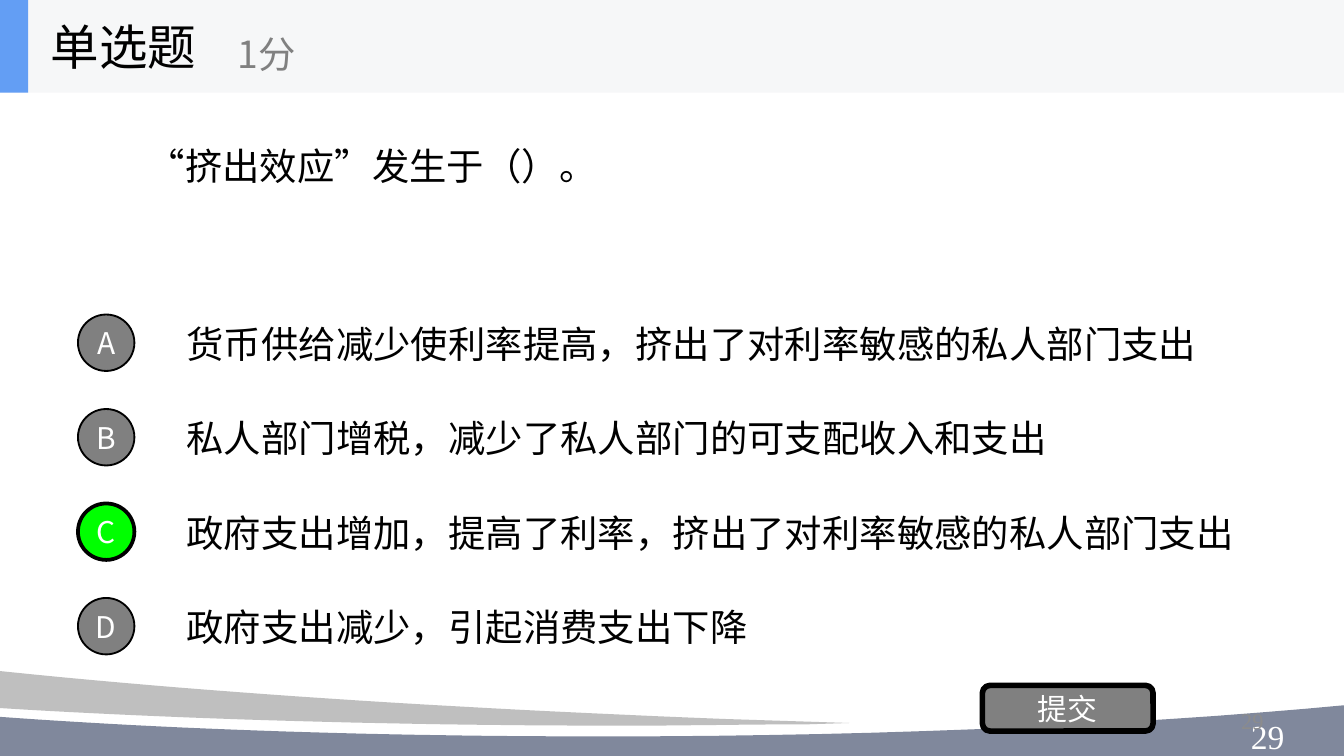
import pptx
import pptx.util
import pptx.dml.color
import pptx.enum.shapes
import pptx.enum.text

Inch = pptx.util.Inches
Kind = pptx.enum.shapes.MSO_SHAPE
Side = pptx.enum.text.PP_ALIGN
Mid = pptx.enum.text.MSO_ANCHOR.MIDDLE
Top = pptx.enum.text.MSO_ANCHOR.TOP
SANS, ROMAN = "Noto Sans CJK SC", "Times New Roman"

wide = 10
high = wide * 9 / 16
deck = pptx.Presentation()
deck.slide_width, deck.slide_height = Inch(wide), Inch(high)
slide = deck.slides.add_slide(deck.slide_layouts[5])
shapes = slide.shapes


def paint(shape, fill, edge=0):
    """Fill a shape; give it a black edge of so many points, or none."""
    shape.shadow.inherit = False
    shape.fill.solid()
    shape.fill.fore_color.rgb = pptx.dml.color.RGBColor.from_string(fill)
    if edge:
        shape.line.color.rgb = pptx.dml.color.RGBColor.from_string("000000")
        shape.line.width = pptx.util.Pt(edge)
    else:
        shape.line.fill.background()


def write(shape, text, size, color, font=SANS, align=Side.LEFT, anchor=Mid, pad=0.1):
    """Put one line of text in a shape."""
    frame = shape.text_frame
    frame.text = text
    frame.word_wrap = True
    frame.auto_size = pptx.enum.text.MSO_AUTO_SIZE.NONE
    frame.vertical_anchor = anchor
    frame.margin_left = frame.margin_right = Inch(pad)
    frame.margin_top = frame.margin_bottom = Inch(pad / 2)
    line = frame.paragraphs[0]
    line.alignment = align
    line.font.size, line.font.name = pptx.util.Pt(size), font
    line.font.color.rgb = pptx.dml.color.RGBColor.from_string(color)


# Waves at the foot: a pair is a corner, a triple of pairs is a curve
waves = [
    ("80889C", [(12.5, 4.9), (12.5, high), (-0.83, high), (-0.83, 5.27), (-0.06, 5.33),
                ((1.29, 5.43), (2.84, 5.48), (4.49, 5.48)),
                ((7.79, 5.48), (10.69, 5.26), (12.41, 4.92))]),
    ("BFBFBF", [(-0.83, 4.9), (-0.13, 4.98),
                ((1.46, 5.15), (3.33, 5.27), (5.39, 5.35)),
                (6.32, 5.38), (6.01, 5.39),
                ((5.57, 5.39), (5.11, 5.4), (4.64, 5.4)),
                ((2.77, 5.4), (1.08, 5.34), (-0.14, 5.26)),
                (-0.83, 5.2)]),
]
steps = 24
for fill, parts in waves:
    spots = []
    for part in parts:
        if len(part) == 2:
            spots.append(part)
            continue
        curve = (spots[-1],) + part
        for step in range(1, steps + 1):
            t = step / steps
            mix = ((1 - t) ** 3, 3 * t * (1 - t) ** 2, 3 * t * t * (1 - t), t ** 3)
            spots.append(tuple(sum(m * p[axis] for m, p in zip(mix, curve))
                               for axis in (0, 1)))
    # The builder rounds to whole units, so draw in EMU
    spots = [(Inch(x), Inch(y)) for x, y in spots]
    pen = shapes.build_freeform(*spots[0])
    pen.add_line_segments(spots[1:], close=True)
    paint(pen.convert_to_shape(), fill)

# Header band and its blue tab
for width, fill in ((wide, "F6F7F8"), (0.21, "639EF4")):
    band = shapes.add_shape(Kind.RECTANGLE, 0, 0, Inch(width), Inch(0.69))
    paint(band, fill)

# Page numbers and header labels
labels = [
    ((9.21, 5.28, 2.33, 0.3), "29", 18, "FFFFFF", ROMAN, Side.LEFT, Top),
    ((7.17, 5.21, 2.33, 0.3), "29", 12, "8C8C8C", ROMAN, Side.RIGHT, Mid),
    ((0.28, 0, 2.08, 0.69), "单选题", 26, "000000", SANS, Side.LEFT, Mid),
    ((1.67, 0.12, 2.5, 0.56), "1分", 20, "808080", SANS, Side.LEFT, Mid),
]
for place, *style in labels:
    write(shapes.add_textbox(*map(Inch, place)), *style)

# Question
title = shapes.title
title.left, title.top, title.width, title.height = map(Inch, (1, 0.35, 8, 1.76))
write(title, "“挤出效应”发生于（）。", 20, "000000", "Arial")

# Choices, one to a row, the right one in green
row, first = high / 8, 2.55
choices = [
    ("A", "货币供给减少使利率提高，挤出了对利率敏感的私人部门支出"),
    ("B", "私人部门增税，减少了私人部门的可支配收入和支出"),
    ("C", "政府支出增加，提高了利率，挤出了对利率敏感的私人部门支出"),
    ("D", "政府支出减少，引起消费支出下降"),
]
for i, (mark, text) in enumerate(choices):
    mid = first + i * row
    box = shapes.add_textbox(Inch(1.29), Inch(mid - 0.26), Inch(8.57), Inch(0.53))
    write(box, text, 20, "000000", "Arial")
    dot = shapes.add_shape(Kind.OVAL, Inch(0.58), Inch(mid - 0.21), Inch(0.42), Inch(0.42))
    right = mark == "C"
    paint(dot, "00FF00" if right else "808080", 2 if right else 1)
    write(dot, mark, 16, "FFFFFF", align=Side.CENTER, pad=0)

# Submit button
button = shapes.add_shape(Kind.ROUNDED_RECTANGLE, Inch(7.31), Inch(5.1), Inch(1.27), Inch(0.34))
paint(button, "808080", 3)
write(button, "提交", 16, "FFFFFF", align=Side.CENTER, pad=0)

deck.save("out.pptx")
